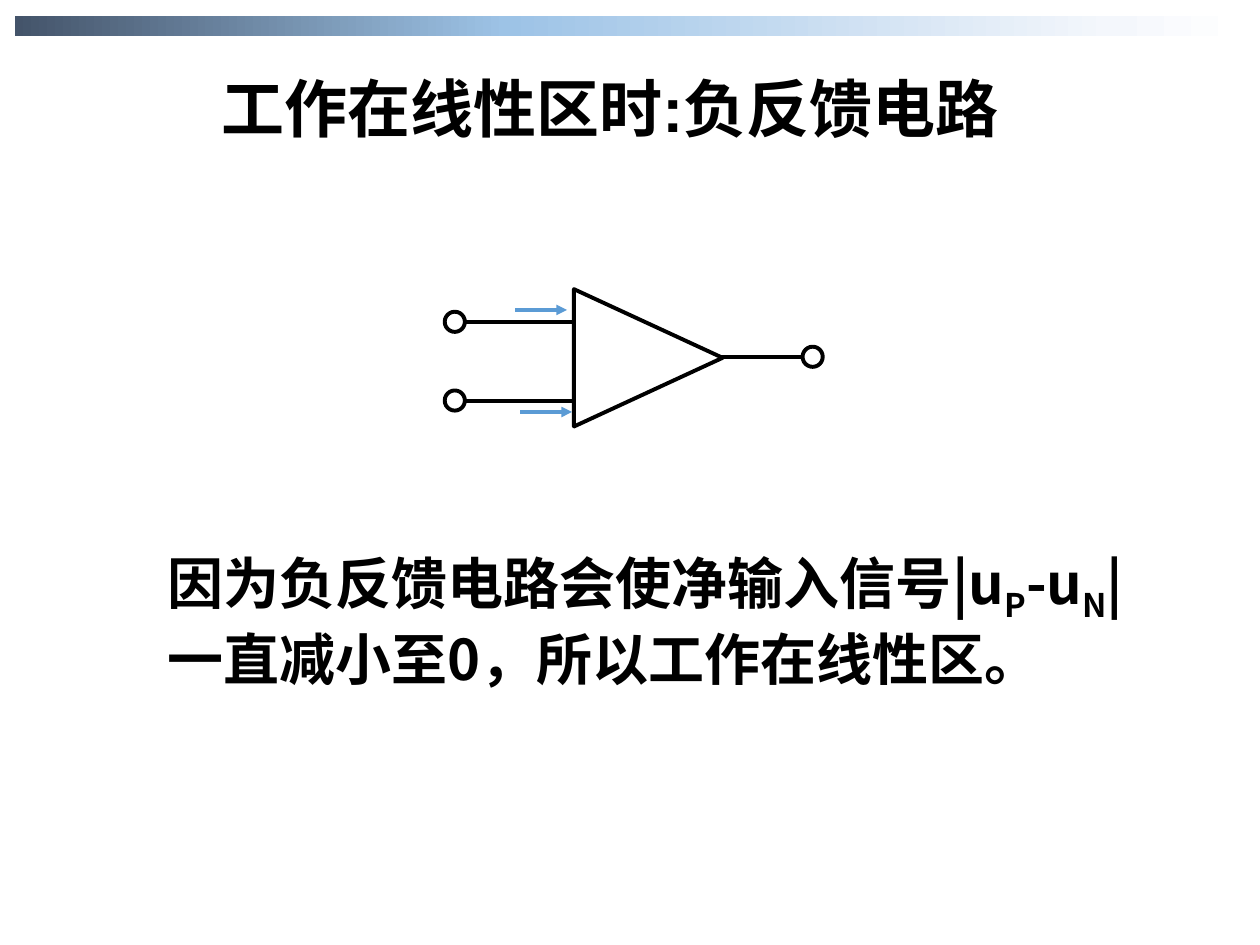
from lxml import etree
from pptx import Presentation
from pptx.dml.color import RGBColor
from pptx.enum import shapes, text
from pptx.oxml import parse_xml
from pptx.oxml.ns import nsdecls, qn
from pptx.util import Pt

COLORS = {"ink": "000000", "paper": "FFFFFF", "signal": "5B9BD5"}
FONT, TITLE_FONT = "Noto Sans CJK SC", "Arial"

# All lengths are points.
SLIDE_SIZE = (720, 540)
BAR = (8.64, 9.36, 702.72, 11.52)
BAR_STOPS = [(0, "44546A"), (40, "9DC3E6"), (89, "F4F7FC"), (100, "FFFFFF")]

TITLE = [("工作在线性区时:负反馈电路", False)]
TITLE_BOX = (88.56, 36, 519.84, 51.12)
# Each run: text, whether it is a subscript
EXPLANATION = [
    ("因为负反馈电路会使净输入信号|u", False), ("P", True),
    ("-u", False), ("N", True),
    ("|一直减小至0，所以工作在线性区。", False),
]
EXPLANATION_BOX = (88.56, 309.6, 574.56, 84.96)

AMPLIFIER = (331.2, 162, 78.48, 84.96)  # frame before the quarter turn
TERMINAL = 11.5
WIRE_WIDTH, ARROW_WIDTH = 2.25, 2
INPUT_LEFT, INPUT_RIGHT = 254.16, 328.32
INPUT_YS = (183.9, 228.9)
OUTPUT_LEFT, OUTPUT_RIGHT, OUTPUT_Y = 411.84, 458.64, 203.9
ARROW_LENGTH = 29.52
ARROW_STARTS = [(294.48, 177.12), (297.36, 235.44)]


def rgb(name):
    return RGBColor.from_string(COLORS[name])


def add_outline(slide, kind, frame, rotation=0):
    """Add a white shape with a black outline."""
    shape = slide.shapes.add_shape(kind, *map(Pt, frame))
    shape.shadow.inherit = False
    shape.rotation = rotation
    shape.fill.solid()
    shape.fill.fore_color.rgb = rgb("paper")
    shape.line.color.rgb = rgb("ink")
    shape.line.width = Pt(WIRE_WIDTH)


def add_line(slide, x1, x2, y, color="ink", width=WIRE_WIDTH, arrow=False):
    line = slide.shapes.add_connector(
        shapes.MSO_CONNECTOR.STRAIGHT, Pt(x1), Pt(y), Pt(x2), Pt(y))
    line.line.color.rgb = rgb(color)
    line.line.width = Pt(width)
    if arrow:
        etree.SubElement(line.line._get_or_add_ln(), qn("a:tailEnd"), type="triangle")
    etree.SubElement(line._element.spPr, qn("a:effectLst"))


def add_terminal(slide, left, y):
    add_outline(slide, shapes.MSO_SHAPE.OVAL,
                (left, y - TERMINAL / 2, TERMINAL, TERMINAL))


def add_text(slide, runs, frame, size=32, font=FONT, align=text.PP_ALIGN.LEFT):
    box = slide.shapes.add_textbox(*map(Pt, frame))
    box.text_frame.word_wrap = True
    box.text_frame.auto_size = text.MSO_AUTO_SIZE.SHAPE_TO_FIT_TEXT
    paragraph = box.text_frame.paragraphs[0]
    paragraph.alignment = align
    for content, subscript in runs:
        run = paragraph.add_run()
        run.text = content
        run.font.size = Pt(size)
        run.font.bold = True
        run.font.name = font
        run.font.color.rgb = rgb("ink")
        properties = run.font._element
        etree.SubElement(properties, qn("a:ea"), typeface=FONT)
        if subscript:
            properties.set("baseline", "-25000")


def add_gradient_bar(slide):
    bar = slide.shapes.add_shape(shapes.MSO_SHAPE.RECTANGLE, *map(Pt, BAR))
    bar.shadow.inherit = False
    bar.line.fill.background()
    bar.fill.gradient()
    bar.fill.gradient_angle = 0
    stops = "".join(
        f'<a:gs pos="{position * 1000}"><a:srgbClr val="{color}"/></a:gs>'
        for position, color in BAR_STOPS)
    stop_list = bar._element.spPr.find(".//" + qn("a:gsLst"))
    stop_list.getparent().replace(
        stop_list, parse_xml(f'<a:gsLst {nsdecls("a")}>{stops}</a:gsLst>'))


def add_circuit(slide):
    for y in INPUT_YS:
        add_line(slide, INPUT_LEFT + TERMINAL, INPUT_RIGHT, y)
        add_terminal(slide, INPUT_LEFT, y)
    add_outline(slide, shapes.MSO_SHAPE.ISOSCELES_TRIANGLE, AMPLIFIER, rotation=90)
    add_line(slide, OUTPUT_LEFT, OUTPUT_RIGHT, OUTPUT_Y)
    add_terminal(slide, OUTPUT_RIGHT, OUTPUT_Y)
    for x, y in ARROW_STARTS:
        add_line(slide, x, x + ARROW_LENGTH, y, "signal", ARROW_WIDTH, arrow=True)


def main():
    presentation = Presentation()
    presentation.slide_width, presentation.slide_height = map(Pt, SLIDE_SIZE)
    slide = presentation.slides.add_slide(presentation.slide_layouts[6])
    add_gradient_bar(slide)
    add_circuit(slide)
    add_text(slide, EXPLANATION, EXPLANATION_BOX)
    add_text(slide, TITLE, TITLE_BOX, size=36, font=TITLE_FONT,
             align=text.PP_ALIGN.CENTER)
    presentation.save("out.pptx")


if __name__ == "__main__":
    main()
